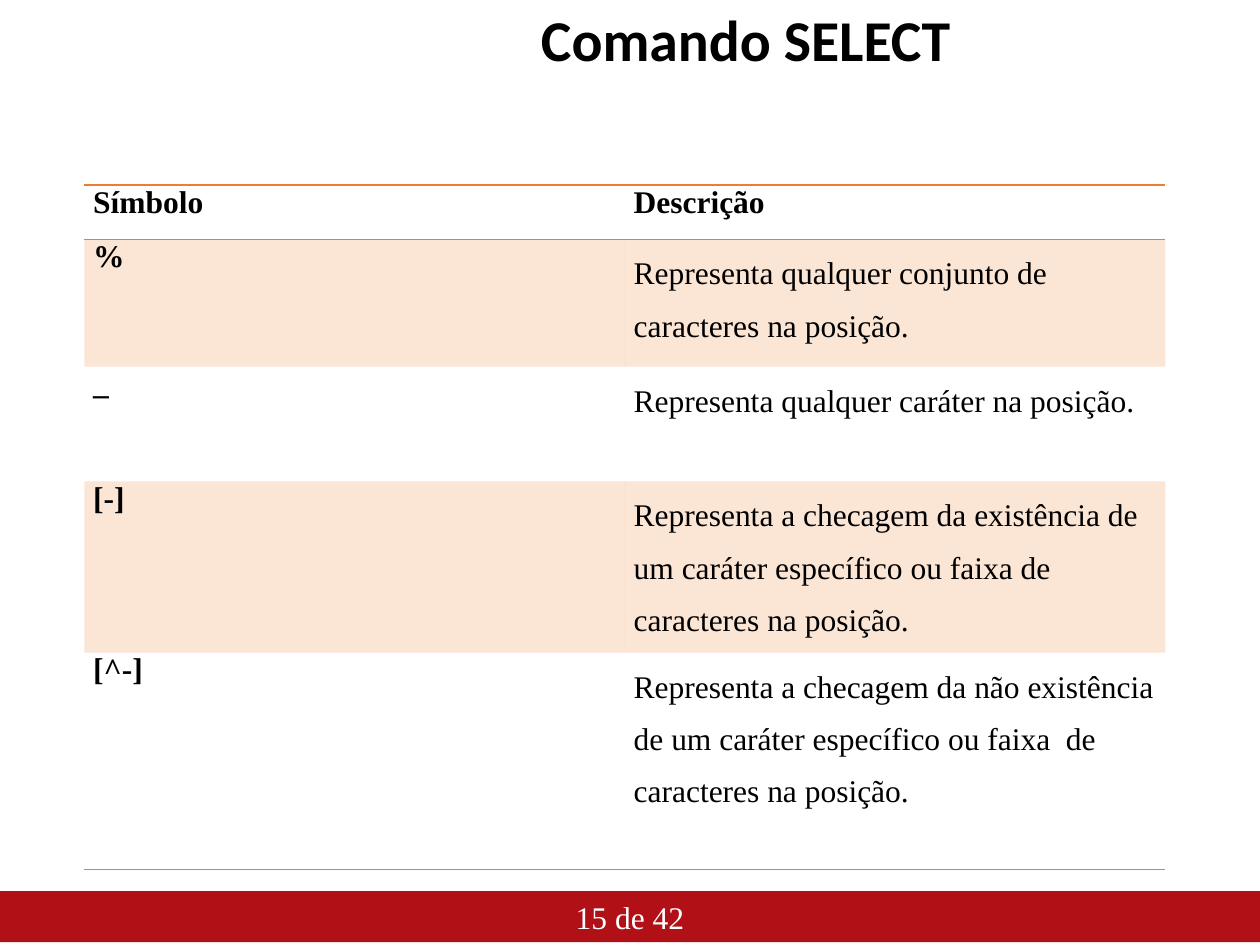
"""Build a slide with a table of SELECT pattern symbols."""
import lxml.etree
import pptx
import pptx.dml.color
import pptx.enum.shapes
import pptx.enum.text
import pptx.oxml.ns
import pptx.util

RGB = pptx.dml.color.RGBColor
ALIGN = pptx.enum.text.PP_ALIGN
ANCHOR = pptx.enum.text.MSO_ANCHOR
BLACK = RGB(0, 0, 0)
WHITE = RGB(255, 255, 255)
RED = RGB(0xB1, 0x11, 0x16)
ORANGE = RGB(0xED, 0x7D, 0x31)
SERIF = "Times New Roman"
WIDE = pptx.util.Inches(10)
HIGH = pptx.util.Inches(7.5)
ROWS = [
    ("Símbolo", "Descrição", 0.43),
    ("%", "Representa qualquer conjunto de caracteres na posição.", 1.01),
    ("_", "Representa qualquer caráter na posição.", 0.91),
    ("[-]", "Representa a checagem da existência de um caráter específico "
     "ou faixa de\ncaracteres na posição.", 1.36),
    ("[^-]", "Representa a checagem da não existência de um caráter "
     "específico ou faixa  de caracteres na posição.", 1.72),
]


def place(left, top, width, height):
    """Turn shares of the slide into lengths."""
    return [round(share * side) for share, side in
            zip((left, top, width, height), (WIDE, HIGH, WIDE, HIGH))]


def write(frame, text, size, color, font=SERIF, bold=False,
          align=ALIGN.LEFT, space=None):
    """Set the text of a frame and format its runs."""
    frame.text = text
    frame.word_wrap = True
    for para in frame.paragraphs:
        para.alignment = align
        para.line_spacing = space
        for run in para.runs:
            run.font.size = pptx.util.Pt(size)
            run.font.name = font
            run.font.bold = bold
            run.font.color.rgb = color


def add_tag(parent, tag, **attrs):
    """Append a drawing element to a parent."""
    return lxml.etree.SubElement(parent, pptx.oxml.ns.qn(tag), attrs)


def rule(cell, sides):
    """Draw orange lines on the named sides and clear the others."""
    props = cell._tc.get_or_add_tcPr()
    for side in "LRTB":
        line = add_tag(props, f"a:ln{side}", w=str(pptx.util.Pt(1)))
        if side in sides:
            fill = add_tag(line, "a:solidFill")
            add_tag(fill, "a:srgbClr", val=str(ORANGE))
        else:
            add_tag(line, "a:noFill")


def tint(cell, shade):
    """Fill a cell with pale orange or leave it clear."""
    if not shade:
        cell.fill.background()
        return
    cell.fill.solid()
    cell.fill.fore_color.rgb = ORANGE
    color = cell._tc.tcPr.find(".//" + pptx.oxml.ns.qn("a:solidFill")
                               + "/" + pptx.oxml.ns.qn("a:srgbClr"))
    for color in cell._tc.tcPr.find(pptx.oxml.ns.qn("a:solidFill")):
        add_tag(color, "a:alpha", val="20000")


def add_title(slide, text):
    """Add the heading."""
    box = slide.shapes.add_textbox(*place(0.185, 0, 0.814, 0.09))
    frame = box.text_frame
    frame.vertical_anchor = ANCHOR.MIDDLE
    write(frame, text, 33, BLACK, "Calibri", True, ALIGN.CENTER, 0.9)


def add_foot(slide, text):
    """Add the page bar."""
    kind = pptx.enum.shapes.MSO_SHAPE.RECTANGLE
    bar = slide.shapes.add_shape(kind, *place(0, 0.943, 1, 0.054))
    bar.shadow.inherit = False
    bar.fill.solid()
    bar.fill.fore_color.rgb = RED
    bar.line.fill.background()
    bar.text_frame.vertical_anchor = ANCHOR.MIDDLE
    write(bar.text_frame, text, 18, WHITE, align=ALIGN.CENTER)


def add_grid(slide, rows):
    """Add the table of symbols."""
    area = place(0.067, 0.196, 0.858, 0.724)
    table = slide.shapes.add_table(len(rows), 2, *area).table
    last = len(rows) - 1
    for i, (*texts, height) in enumerate(rows):
        table.rows[i].height = pptx.util.Inches(height)
        sides = "TB" if i == 0 else "T" if i == 1 else "B" if i == last else ""
        for j, text in enumerate(texts):
            cell = table.cell(i, j)
            cell.margin_left = cell.margin_right = pptx.util.Inches(0.07)
            cell.margin_top = cell.margin_bottom = 0
            head = i == 0 or j == 0
            write(cell.text_frame, text, 18, BLACK, bold=head,
                  align=ALIGN.JUSTIFY if head else ALIGN.LEFT,
                  space=None if head else 1.5)
            rule(cell, sides)
            tint(cell, i % 2 == 1)


def main():
    """Build and save the slide."""
    deck = pptx.Presentation()
    deck.slide_width, deck.slide_height = WIDE, HIGH
    slide = deck.slides.add_slide(deck.slide_layouts[6])
    add_foot(slide, "15 de 42")
    add_title(slide, "Comando SELECT")
    add_grid(slide, ROWS)
    deck.save("out.pptx")


main()
